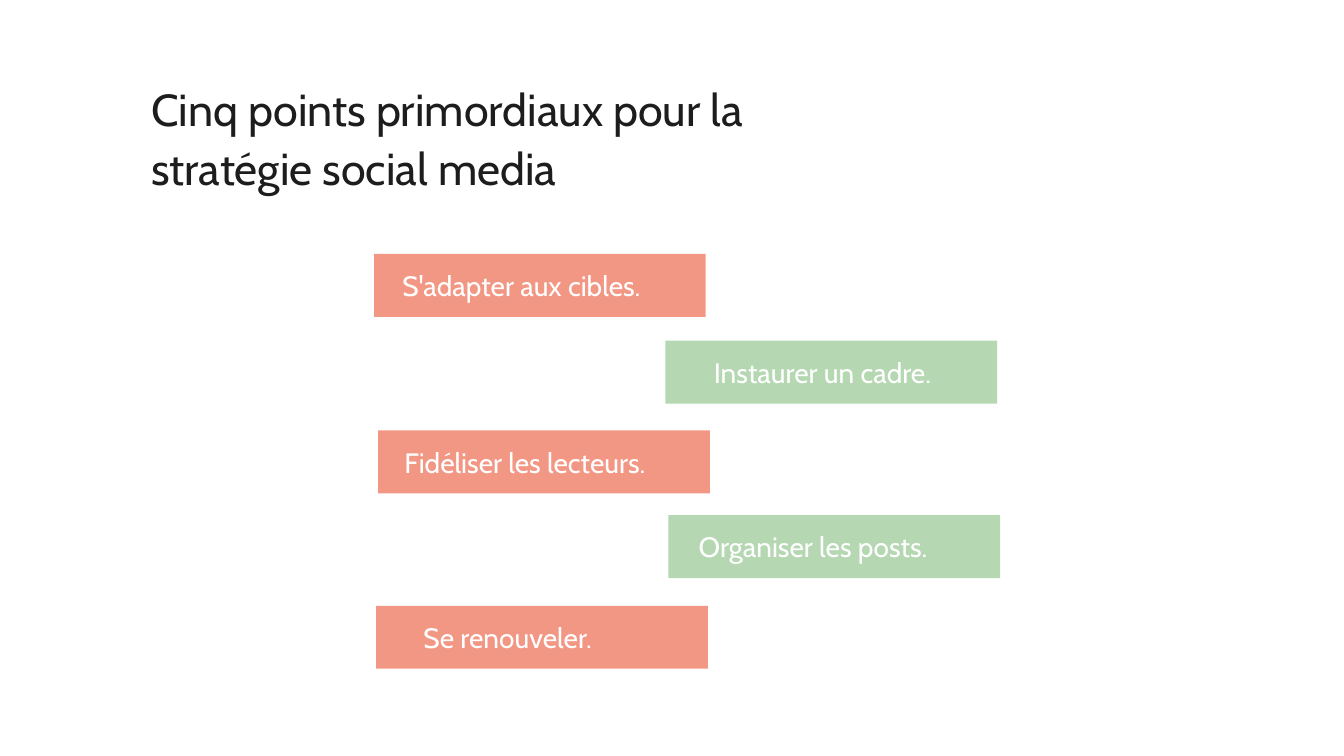
from dataclasses import dataclass
from pptx import Presentation
from pptx.dml.color import RGBColor
from pptx.enum.shapes import MSO_SHAPE
from pptx.enum.text import MSO_ANCHOR, MSO_AUTO_SIZE, PP_ALIGN
from pptx.util import Inches, Pt

# Content: label, bar left, bar top, text indent
TITLE = "Cinq points primordiaux pour la stratégie social media"
POINTS = [
    ("S'adapter aux cibles.", 3.71, 2.52, 0.28),
    ("Instaurer un cadre.", 6.6, 3.38, 0.48),
    ("Fidéliser les lecteurs.", 3.75, 4.27, 0.26),
    ("Organiser les posts.", 6.63, 5.11, 0.3),
    ("Se renouveler.", 3.73, 6.01, 0.47),
]
BAR_W, BAR_H = 3.29, 0.625


@dataclass(frozen=True)
class Theme:
    font: str = "Cabin"
    ink: str = "1D1D1D"
    white: str = "FFFFFF"
    bars: tuple = ("F39785", "B5D8B3")
    title: int = 32
    label: int = 20


THEME = Theme()


def write(shape, text, size, color, anchor, indent=0):
    frame = shape.text_frame
    frame.text = text
    frame.word_wrap = True
    frame.auto_size = MSO_AUTO_SIZE.NONE
    frame.vertical_anchor = anchor
    frame.margin_left = Inches(indent)
    frame.margin_top = frame.margin_right = frame.margin_bottom = 0
    line = frame.paragraphs[0]
    line.alignment = PP_ALIGN.LEFT
    font = line.runs[0].font
    font.name, font.size = THEME.font, Pt(size)
    font.color.rgb = RGBColor.from_string(color)
    return line


def main():
    deck = Presentation()
    deck.slide_width, deck.slide_height = Inches(13.33), Inches(7.5)
    slide = deck.slides.add_slide(deck.slide_layouts[5])

    # Title
    title = slide.shapes.title
    title.left, title.top = Inches(1.5), Inches(0.76)
    title.width, title.height = Inches(6.08), Inches(1.14)
    line = write(title, TITLE, THEME.title, THEME.ink, MSO_ANCHOR.TOP)
    line.line_spacing = 1.1
    line.space_before = Pt(0)

    # Staggered bars in alternating colours
    for i, (label, left, top, indent) in enumerate(POINTS):
        bar = slide.shapes.add_shape(
            MSO_SHAPE.RECTANGLE,
            Inches(left), Inches(top), Inches(BAR_W), Inches(BAR_H))
        bar.shadow.inherit = False
        bar.fill.solid()
        bar.fill.fore_color.rgb = RGBColor.from_string(THEME.bars[i % 2])
        bar.line.fill.background()
        write(bar, label, THEME.label, THEME.white, MSO_ANCHOR.MIDDLE, indent)

    deck.save("out.pptx")


if __name__ == "__main__":
    main()
